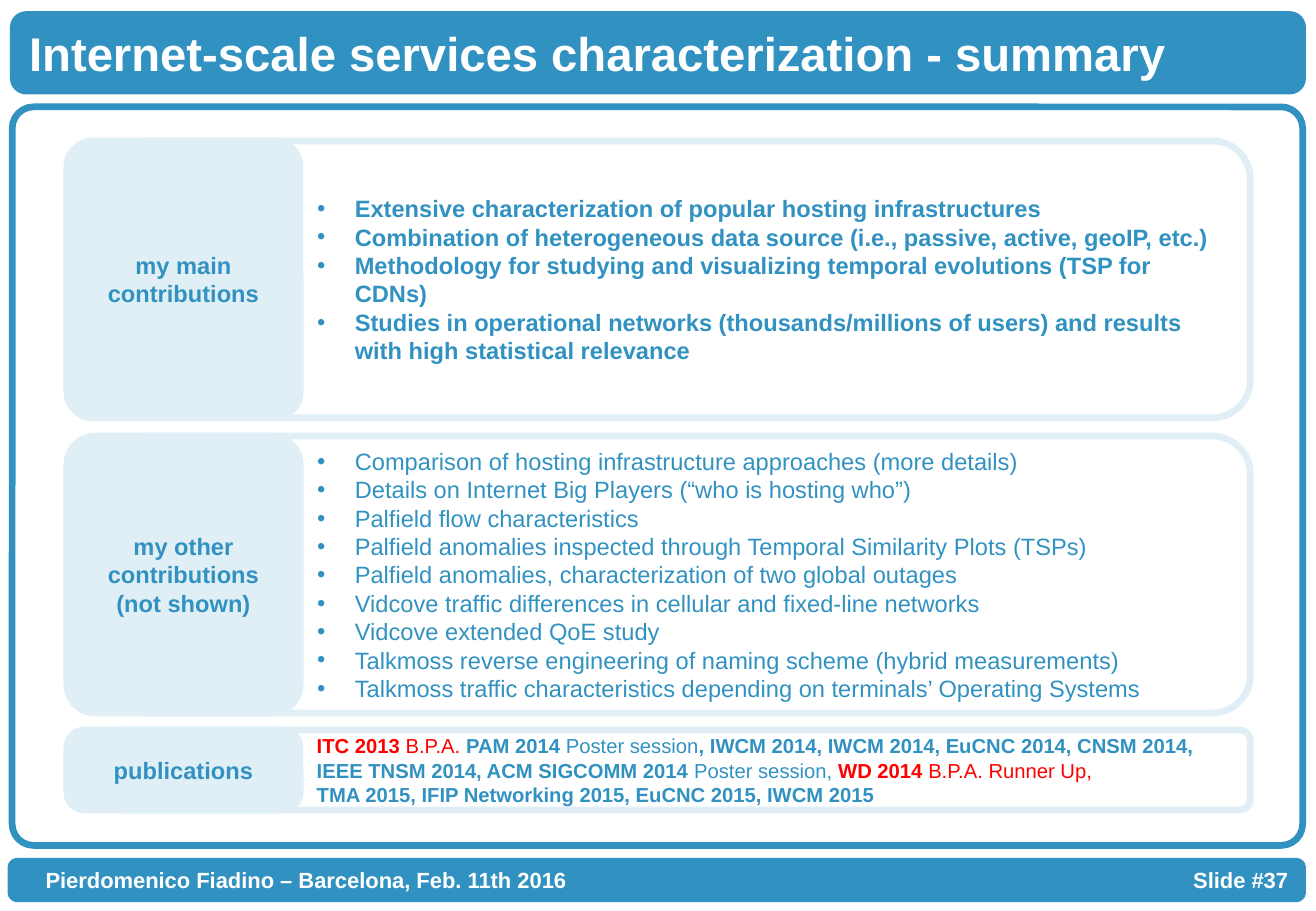
from pptx import Presentation
from pptx.dml.color import RGBColor
from pptx.enum.shapes import MSO_SHAPE as Shape
from pptx.enum.text import MSO_ANCHOR as Anchor, MSO_AUTO_SIZE as Fit, PP_ALIGN as Align
from pptx.util import Inches, Pt

rgb = RGBColor.from_string
BLUE, PALE, RED, WHITE = "3192C1", "E0EFF6", "FF0000", "FFFFFF"

prs = Presentation()
prs.slide_width, prs.slide_height = Inches(10.83), Inches(7.5)
slide = prs.slides.add_slide(prs.slide_layouts[3])
shapes = slide.shapes
title, main, other = slide.placeholders


def panel(left, top, width, height, round, line, fill=None):
    """Add a rounded box with a thick line."""
    box = shapes.add_shape(Shape.ROUNDED_RECTANGLE, Inches(left), Inches(top),
                           Inches(width), Inches(height))
    box.adjustments[0] = round
    box.shadow.inherit = False
    box.line.color.rgb = rgb(line)
    box.line.width = Pt(4)
    if fill:
        box.fill.solid()
        box.fill.fore_color.rgb = rgb(fill)
    else:
        box.fill.background()
    return box


def write(shape, paras, size=14, color=BLUE, bold=True, align=Align.LEFT,
          left=0.1, right=0.1, bullet=False):
    """Fill a shape; a paragraph is a list of (text, color, bold) or a string."""
    frame = shape.text_frame
    frame.word_wrap, frame.auto_size = True, Fit.NONE
    frame.vertical_anchor = Anchor.MIDDLE
    frame.margin_left, frame.margin_right = Inches(left), Inches(right)
    frame.margin_top = frame.margin_bottom = 0
    for i, runs in enumerate(paras):
        para = frame.add_paragraph() if i else frame.paragraphs[0]
        para.alignment = align
        para.space_before = Pt(0)
        if bullet:
            props = para._p.get_or_add_pPr()
            props.set("marL", str(Inches(0.31)))
            props.set("indent", str(-Inches(0.31)))
        if isinstance(runs, str):
            runs = [(runs, color, bold)]
        for text, tint, heavy in runs:
            run = para.add_run()
            run.text = text
            font = run.font
            font.name, font.size, font.bold = "Arial", Pt(size), heavy
            font.color.rgb = rgb(tint)


# Outer frame and title bar
panel(0.1, 0.88, 10.62, 6.08, 0.029, BLUE)
panel(0.11, 0.12, 10.61, 0.63, 0.167, BLUE, BLUE)
title.left, title.top = Inches(0.11), Inches(0.12)
title.width, title.height = Inches(10.61), Inches(0.63)
write(title, ["Internet-scale services characterization - summary"],
      size=28, color=WHITE, left=0.13)

# Rows: a pale frame with a label tab on its left
rows = [
    (1.16, 2.28, 0.137, 0.113, ["my main", "contributions"]),
    (3.59, 2.28, 0.137, 0.123, ["my other contributions (not shown)"]),
    (6.01, 0.66, 0.137, 0.221, ["publications"]),
]
for top, high, curve, bend, label in rows:
    frame = panel(0.91, top, 9.38, high, curve, PALE)
    tab = panel(0.55, top, 1.92, high, bend, PALE, PALE)
    write(tab, label, align=Align.CENTER)

# Bullet lists
lists = [
    (main, 1.16, True, [
        "Extensive characterization of popular hosting infrastructures",
        "Combination of heterogeneous data source (i.e., passive, active, geoIP, etc.)",
        "Methodology for studying and visualizing temporal evolutions (TSP for CDNs)",
        "Studies in operational networks (thousands/millions of users) and results "
        "with high statistical relevance",
    ]),
    (other, 3.59, False, [
        "Comparison of hosting infrastructure approaches (more details)",
        "Details on Internet Big Players (“who is hosting who”)",
        "Palfield flow characteristics",
        "Palfield anomalies inspected through Temporal Similarity Plots (TSPs)",
        "Palfield anomalies, characterization of two global outages",
        "Vidcove traffic differences in cellular and fixed-line networks",
        "Vidcove extended QoE study",
        "Talkmoss reverse engineering of naming scheme (hybrid measurements)",
        "Talkmoss traffic characteristics depending on terminals’ Operating Systems",
    ]),
]
for body, top, bold, items in lists:
    body.left, body.top = Inches(2.61), Inches(top)
    body.width, body.height = Inches(7.5), Inches(2.28)
    write(body, items, bold=bold, left=0, right=0, bullet=True)

# Publications go in the last frame
write(frame, [
    [("ITC 2013", RED, True), (" B.P.A. ", RED, False),
     ("PAM 2014", BLUE, True), (" Poster session", BLUE, False),
     (", IWCM 2014, IWCM 2014, EuCNC 2014, CNSM 2014, "
      "IEEE TNSM 2014, ACM SIGCOMM 2014 ", BLUE, True),
     ("Poster session, ", BLUE, False),
     ("WD 2014 ", RED, True), ("B.P.A. Runner Up,", RED, False)],
    "TMA 2015, IFIP Networking 2015, EuCNC 2015, IWCM 2015",
], size=12, left=1.67)

# Footer bar, with the slide number at its right end
foot = panel(0.09, 7.09, 10.63, 0.31, 0.167, BLUE, BLUE)
write(foot, ["Pierdomenico Fiadino – Barcelona, Feb. 11th 2016"],
      size=13, color=WHITE, left=0.27)
number = shapes.add_textbox(Inches(8.6), Inches(7.09), Inches(2), Inches(0.31))
write(number, ["Slide #37"], size=13, color=WHITE, align=Align.RIGHT, right=0)

# Bring the placeholders in front of the panels
for holder in (title, main, other):
    holder.element.getparent().append(holder.element)

prs.save("out.pptx")
